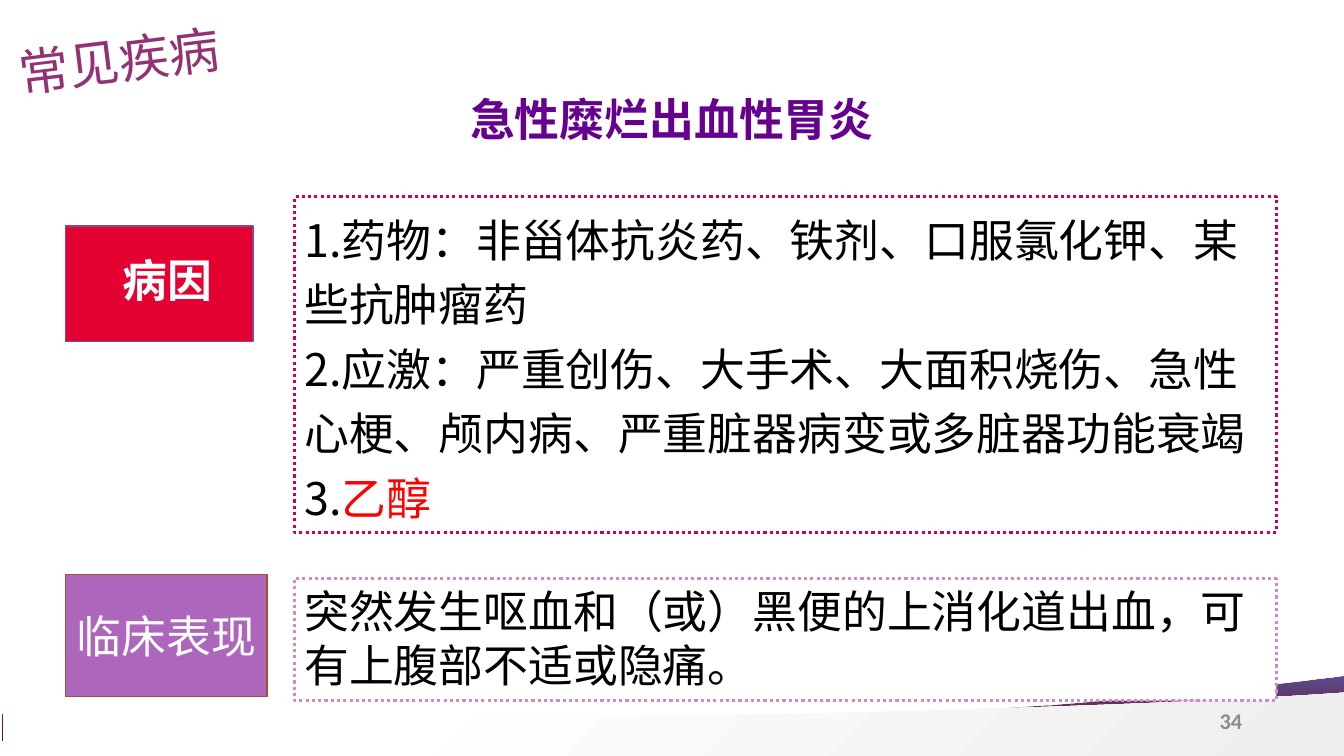
import pptx
import pptx.util
import pptx.dml.color
import pptx.enum.dml
import pptx.enum.shapes
import pptx.enum.text
import pptx.oxml.ns
from dataclasses import dataclass
from lxml import etree
from pptx.util import Inches

ALIGN = pptx.enum.text.PP_ALIGN
ANCHOR = pptx.enum.text.MSO_ANCHOR
DOTS = pptx.enum.dml.MSO_LINE.ROUND_DOT


@dataclass(frozen=True)
class Theme:
    sans: str = "Noto Sans CJK SC"
    body: str = "Noto Sans CJK JP"
    title: str = "Arial"
    number: str = "Calibri"
    size: int = 32
    tag_size: int = 36
    number_size: int = 16
    black: str = "000000"
    white: str = "FFFFFF"
    red: str = "FF0000"
    grey: str = "8C8C8C"
    tag: str = "933175"
    cause: str = "E40233"
    cause_line: str = "7F4B8A"
    cause_frame: str = "CC0050"
    signs: str = "AC66BB"
    signs_line: str = "A45028"
    signs_frame: str = "D488C5"
    # Gradient stops: position, colour, opacity (all in percent)
    title_stops: tuple = ((0, "000082", 100), (30, "66008F", 100), (65, "BA0066", 100),
                          (90, "FF0000", 100), (100, "FF8200", 100))
    ribbon_stops: tuple = ((0, "720808", 100), (100, "342275", 80))
    floor_stops: tuple = ((26, "FFFFFF", 100), (100, "EEEEEE", 100))


T = Theme()


def rgb(value):
    return pptx.dml.color.RGBColor.from_string(value)


def set_format(target, values):
    for name, value in values.items():
        setattr(target, name, value)


def add_child(parent, tag, **attributes):
    child = etree.SubElement(parent, pptx.oxml.ns.qn(tag))
    for name, value in attributes.items():
        child.set(name, str(value))
    return child


def set_gradient(fill, owner, stops, angle):
    """Fill with the stops; angle runs clockwise in degrees."""
    fill.gradient()
    fill.gradient_angle = (360 - angle) % 360
    stop_list = owner.find(".//" + pptx.oxml.ns.qn("a:gsLst"))
    for old in list(stop_list):
        stop_list.remove(old)
    for position, colour, opacity in stops:
        stop = add_child(stop_list, "a:gs", pos=position * 1000)
        clr = add_child(stop, "a:srgbClr", val=colour)
        if opacity < 100:
            add_child(clr, "a:alpha", val=opacity * 1000)


def write(sp, paragraphs, font, size=T.size, colour=T.black, bold=False, align=ALIGN.LEFT,
          anchor=ANCHOR.TOP, spacing=1.0, left_inset=0.1):
    """Each paragraph is a list of (text, colour or None) runs."""
    tf = sp.text_frame
    set_format(tf, {"word_wrap": True, "vertical_anchor": anchor,
                    "margin_left": Inches(left_inset), "margin_right": Inches(0.1),
                    "margin_top": Inches(0.05), "margin_bottom": Inches(0.05)})
    for i, runs in enumerate(paragraphs):
        p = tf.add_paragraph() if i else tf.paragraphs[0]
        set_format(p, {"alignment": align, "line_spacing": spacing})
        for text, own_colour in runs:
            r = p.add_run()
            r.text = text
            set_format(r.font, {"name": font, "size": pptx.util.Pt(size), "bold": bold})
            r.font.color.rgb = rgb(own_colour or colour)
            east_asian = T.sans if font == T.title else font
            add_child(r._r.get_or_add_rPr(), "a:ea", typeface=east_asian)
    return sp


def add_label(s, box, text, font, rotation=0, **style):
    sp = s.shapes.add_textbox(*map(Inches, box))
    sp.rotation = rotation
    return write(sp, [[(text, None)]], font, **style)


def add_box(s, box, fill, line, width=1, dash=None):
    sp = s.shapes.add_shape(pptx.enum.shapes.MSO_SHAPE.RECTANGLE, *map(Inches, box))
    sp.shadow.inherit = False
    sp.fill.solid()
    sp.fill.fore_color.rgb = rgb(fill)
    sp.line.color.rgb = rgb(line)
    set_format(sp.line, {"width": pptx.util.Pt(width), "dash_style": dash})
    return sp


def curve(a, b, c, d, steps=24):
    """Points along a cubic curve after its first point."""
    points = []
    for i in range(1, steps + 1):
        t = i / steps
        weights = ((1 - t) ** 3, 3 * t * (1 - t) ** 2, 3 * t * t * (1 - t), t ** 3)
        points.append(tuple(sum(w * q[k] for w, q in zip(weights, (a, b, c, d)))
                            for k in (0, 1)))
    return points


def add_wave(s, points, stops, angle):
    start, *rest = [(Inches(x), Inches(y)) for x, y in points]
    builder = s.shapes.build_freeform(*start, scale=1.0)
    builder.add_line_segments(rest, close=True)
    sp = builder.convert_to_shape()
    sp.shadow.inherit = False
    sp.line.fill.background()
    set_gradient(sp.fill, sp._element.spPr, stops, angle)


def add_footer_waves(s):
    left, right = 0.03, 13.36
    ribbon = [(right, 6.7), (right, 7.35), (left, 7.35), (left, 7.08), (0.04, 7.08)]
    ribbon += curve((0.04, 7.08), (3.04, 7.41), (8.22, 7.18), (11.22, 6.93))
    ribbon += curve((11.22, 6.93), (11.82, 6.88), (12.5, 6.81), (13.21, 6.72))
    add_wave(s, ribbon, T.ribbon_stops, 270)

    floor = [(right, 6.87), (right, 7.5), (left, 7.5), (left, 7.03), (0.47, 7.05)]
    floor += curve((0.47, 7.05), (3.94, 7.21), (9.13, 7.08), (12.22, 6.94))
    floor += curve((12.22, 6.94), (12.49, 6.92), (12.77, 6.91), (13.06, 6.89))
    add_wave(s, floor, T.floor_stops, 45)


def main():
    prs = pptx.Presentation()
    set_format(prs, {"slide_width": Inches(13.33), "slide_height": Inches(7.5)})
    s = prs.slides.add_slide(prs.slide_layouts[6])

    # Footer waves and page number
    add_footer_waves(s)
    add_label(s, (9.42, 6.95, 3, 0.4), "34", T.number, size=T.number_size, colour=T.grey,
              bold=True, align=ALIGN.RIGHT, anchor=ANCHOR.MIDDLE)

    # Causes
    causes = [
        [("1.药物：非甾体抗炎药、铁剂、口服氯化钾、某些抗肿瘤药", None)],
        [("2.应激：严重创伤、大手术、大面积烧伤、急性心梗、颅内病、严重脏器病变或多脏器功能衰竭", None)],
        [("3.", None), ("乙醇", T.red)],
    ]
    frame = add_box(s, (2.92, 1.95, 9.74, 3.33), T.white, T.cause_frame, 2.25, DOTS)
    write(frame, causes, T.body, spacing=1.2)
    add_box(s, (0.65, 2.24, 1.86, 1.15), T.cause, T.cause_line)
    add_label(s, (1.02, 2.46, 1.64, 0.64), "病因", T.sans, colour=T.white, bold=True,
              left_inset=0.2)

    # Slanted tag and title
    add_label(s, (0.08, 0.22, 2.55, 0.71), "常见疾病", T.sans, rotation=352.9,
              size=T.tag_size, colour=T.tag)
    title = add_label(s, (3.79, 0.75, 5.75, 0.75), "急性糜烂出血性胃炎", T.title, bold=True,
                      align=ALIGN.CENTER, spacing=1.2)
    r = title.text_frame.paragraphs[0].runs[0]
    set_gradient(r.font.fill, r._r, T.title_stops, 225)

    # Clinical signs
    signs = add_box(s, (0.65, 5.7, 2, 1.21), T.signs, T.signs_line)
    write(signs, [[("临床表现", None)]], T.sans, colour=T.white, align=ALIGN.CENTER,
          anchor=ANCHOR.MIDDLE)
    frame = add_box(s, (2.92, 5.74, 9.74, 1.21), T.white, T.signs_frame, 2.25, DOTS)
    write(frame, [[("突然发生呕血和（或）黑便的上消化道出血，可有上腹部不适或隐痛。", None)]], T.body)

    prs.save("out.pptx")


if __name__ == "__main__":
    main()
